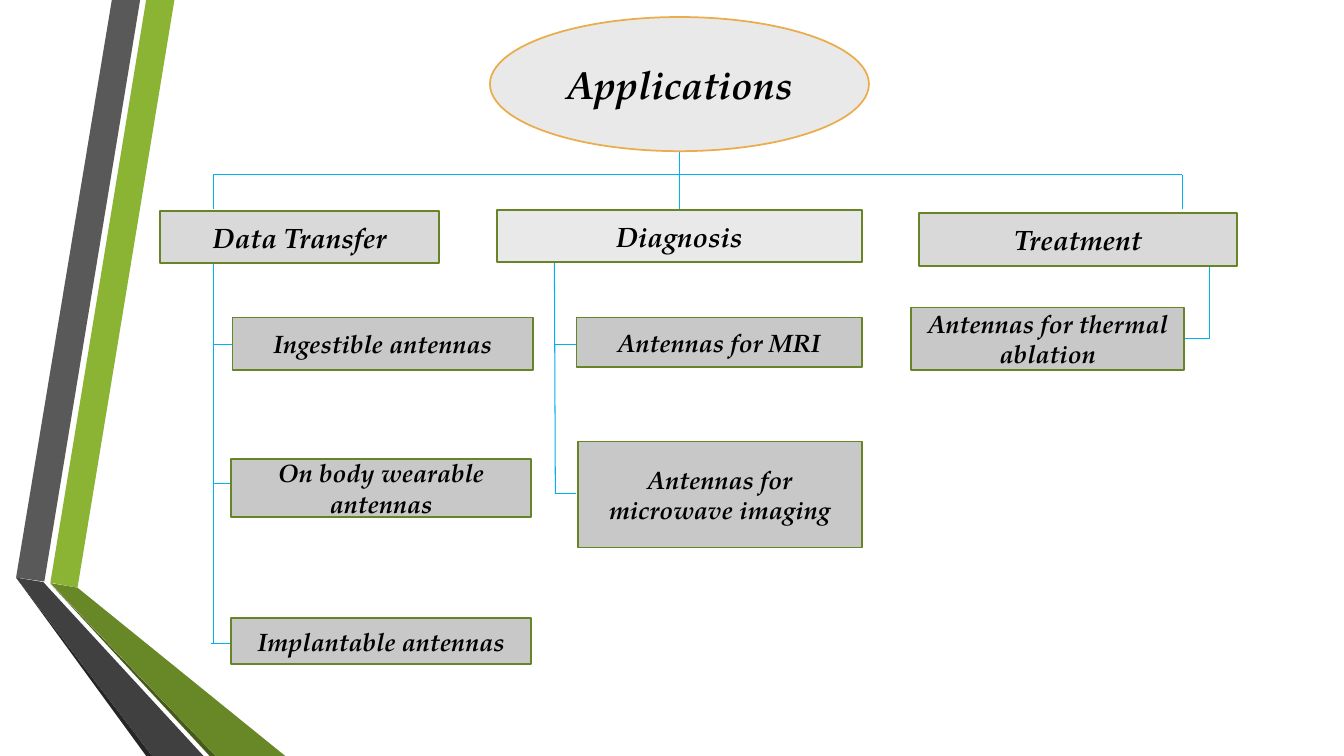
from lxml import etree
from pptx import Presentation
from pptx.dml.color import RGBColor
from pptx.enum.shapes import MSO_CONNECTOR, MSO_SHAPE
from pptx.enum.text import MSO_ANCHOR, PP_ALIGN
from pptx.oxml.ns import qn
from pptx.util import Pt

FONT = "TeX Gyre Pagella"
GREEN, ORANGE, BLUE = "678526", "EBAC4B", "00B0F0"
PALE, LIGHT, MID = "E9E9E9", "D9D9D9", "C8C8C8"


def rgb(color):
    return RGBColor.from_string(color)


def add_node(kind, text, box, fill, line, size):
    """Add a filled, outlined shape with centred bold italic text."""
    s = shapes.add_shape(kind, *[Pt(v) for v in box])
    s.shadow.inherit = False
    s.fill.solid()
    s.fill.fore_color.rgb = rgb(fill)
    s.line.color.rgb = rgb(line)
    s.line.width = Pt(1.25)
    tf = s.text_frame
    tf.word_wrap = True
    tf.vertical_anchor = MSO_ANCHOR.MIDDLE
    tf.text = text
    p = tf.paragraphs[0]
    p.alignment = PP_ALIGN.CENTER
    font = p.runs[0].font
    font.name, font.size = FONT, Pt(size)
    font.bold = font.italic = True
    font.color.rgb = rgb("000000")


prs = Presentation()
prs.slide_width, prs.slide_height = Pt(960), Pt(540)
shapes = prs.slides.add_slide(prs.slide_layouts[6]).shapes

# Folded ribbons along the left edge
ribbons = [
    ("8BB434", [(36, 416.2), (55.4, 419.8), (124.6, 0), (104.4, 0)]),
    ("595959", [(100.1, 0), (79.9, 0), (11.5, 412.6), (31.7, 415.4)]),
    ("262626", [(11.5, 412.6), (104.4, 540), (108.7, 540)]),
    ("465A1A", [(36, 416.9), (149.8, 540), (154.1, 540)]),
    ("688727", [(36, 416.5), (154.1, 540), (203.8, 540), (55.4, 419.8)]),
    ("404040", [(145.4, 540), (34.6, 419.8), (31, 415.8), (11.5, 412.6),
                (108.7, 540)]),
]
for color, points in ribbons:
    start, *rest = [(Pt(x), Pt(y)) for x, y in points]
    builder = shapes.build_freeform(*start)
    builder.add_line_segments(rest)
    s = builder.convert_to_shape()
    s.shadow.inherit = False
    s.fill.solid()
    s.fill.fore_color.rgb = rgb(color)
    s.line.fill.background()

# Tree branches: x1, y1, x2, y2
branches = [
    (485.3, 108, 485.3, 149.8),
    (844.6, 124.8, 152.3, 124.8),
    (152.2, 124.8, 152.2, 149),
    (844.6, 125, 844.6, 149),
    (152.6, 188, 152.6, 459.4),
    (152.6, 246.2, 166.3, 246.2),
    (152.6, 345.6, 166.3, 345.6),
    (150.5, 459.4, 164.9, 459.4),
    (396, 187.2, 396.7, 352.8),
    (396.7, 246.2, 412.6, 246.2),
    (396.7, 352.8, 411.8, 352.8),
    (864, 189.4, 864, 242),
    (846.7, 242, 864, 242),
]
for ends in branches:
    c = shapes.add_connector(MSO_CONNECTOR.STRAIGHT, *[Pt(v) for v in ends])
    c.line.color.rgb = rgb(BLUE)
    c.line.width = Pt(0.75)
    etree.SubElement(c._element.spPr, qn("a:effectLst"))

add_node(MSO_SHAPE.OVAL, "Applications", (350, 12.2, 270.7, 95.8),
         PALE, ORANGE, 28)

categories = [
    ("Data Transfer", (114.5, 150.5, 199.4, 37.4), LIGHT),
    ("Diagnosis", (355, 149.8, 260.6, 37.4), PALE),
    ("Treatment", (656.6, 151.9, 226.8, 38), LIGHT),
]
for text, box, fill in categories:
    add_node(MSO_SHAPE.RECTANGLE, text, box, fill, GREEN, 20)

antennas = [
    ("Ingestible antennas", (166, 226.8, 214.6, 37.4)),
    ("On body wearable antennas", (164.9, 327.6, 214.6, 41.8)),
    ("Implantable antennas", (164.9, 441.4, 214.6, 33.1)),
    ("Antennas for MRI", (411.8, 226.8, 203.8, 35.3)),
    ("Antennas for microwave imaging", (412.6, 315.4, 203, 75.6)),
    ("Antennas for thermal ablation", (650.9, 219.6, 195.1, 44.6)),
]
for text, box in antennas:
    add_node(MSO_SHAPE.RECTANGLE, text, box, MID, GREEN, 18)

prs.save("out.pptx")
